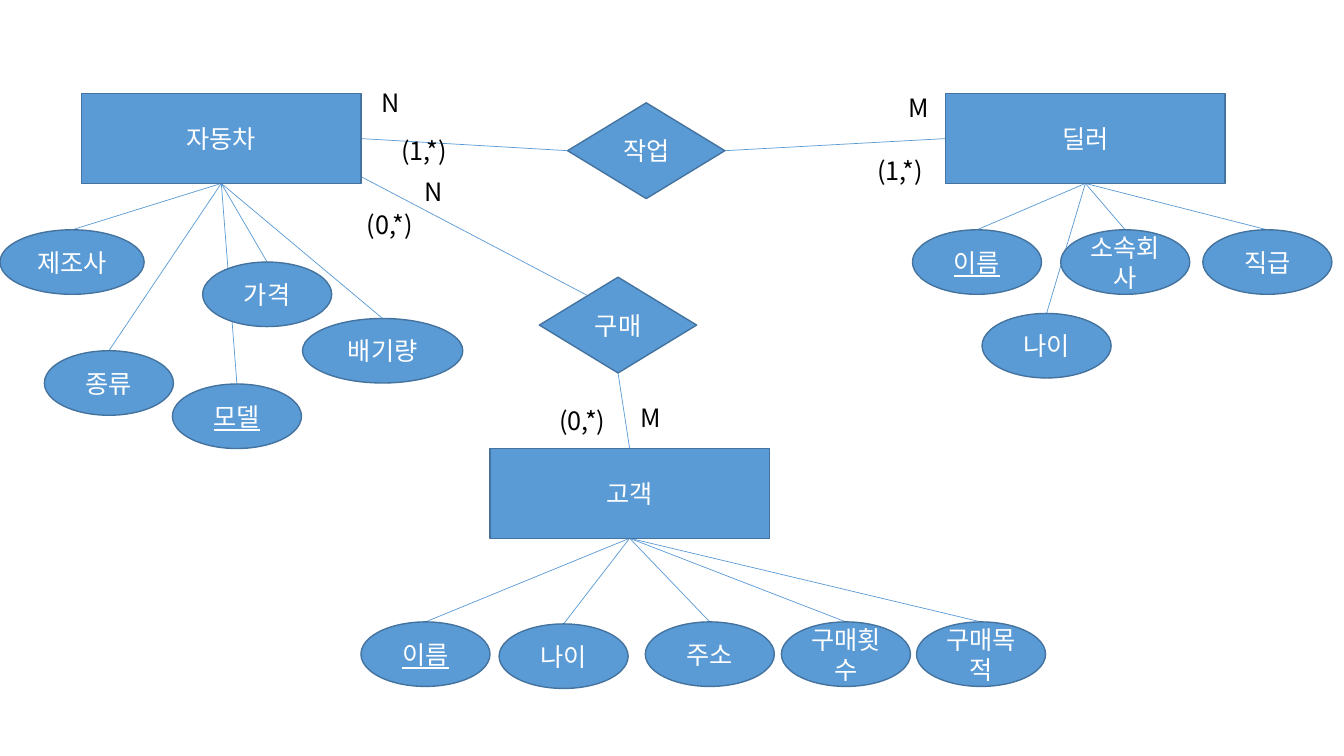
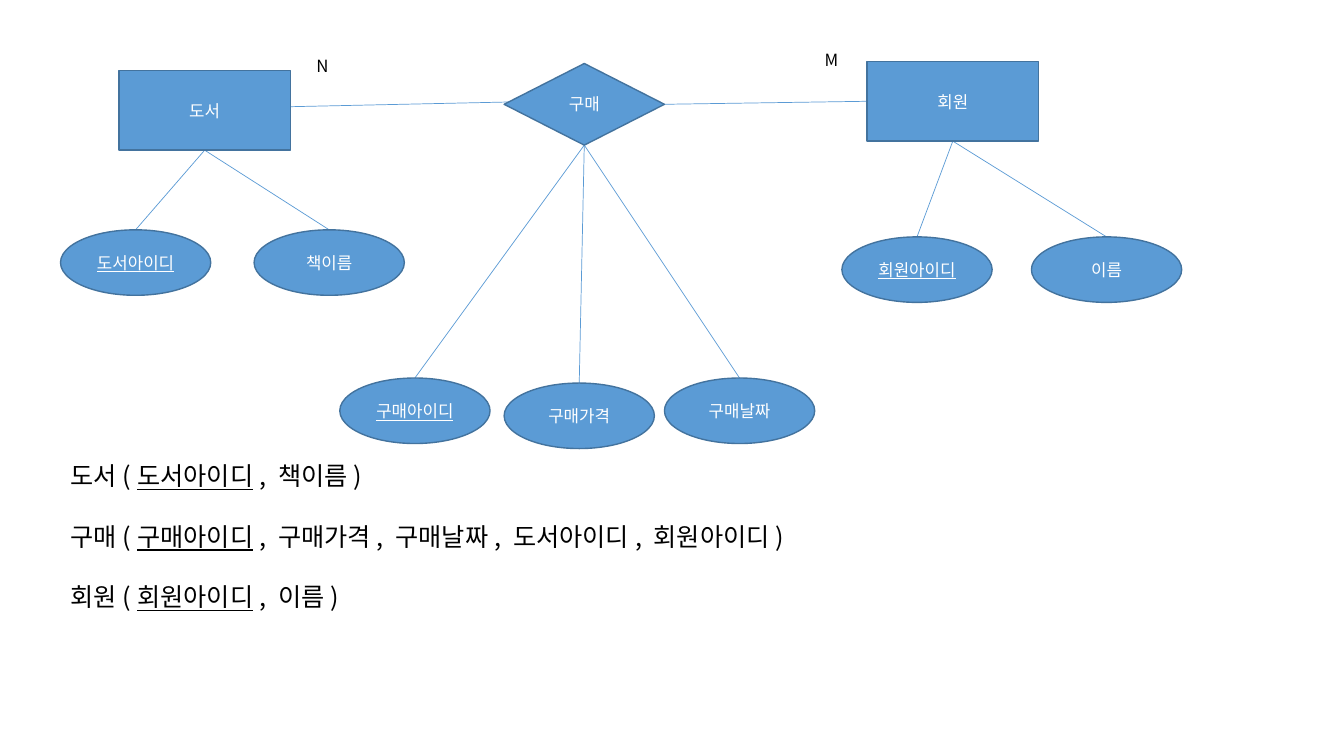
from lxml import etree
from pptx import Presentation
from pptx.dml.color import RGBColor
from pptx.enum.shapes import MSO_CONNECTOR, MSO_SHAPE
from pptx.enum.text import MSO_ANCHOR, MSO_AUTO_SIZE, PP_ALIGN
from pptx.oxml.ns import qn
from pptx.util import Inches, Pt

COLOURS = {"fill": "5B9BD5", "edge": "43739E", "light": "FFFFFF", "dark": "000000"}
FONT = "Noto Sans CJK KR"
ENTITY, RELATION, ATTRIBUTE = MSO_SHAPE.RECTANGLE, MSO_SHAPE.FLOWCHART_DECISION, MSO_SHAPE.OVAL
TOP, LEFT, BOTTOM, RIGHT = range(4)

# Nodes: name, kind, left, top. Attributes: owner, name, is key, left, top, width.
# Links join two (node, side) pairs, loose lines two points.
DIAGRAMS = [
    {
        "text_size": 18,
        "sizes": {ENTITY: (2.77, 0.89), RELATION: (1.56, 0.95)},
        "attribute_height": 0.64,
        "nodes": [
            ("자동차", ENTITY, 0.81, 0.93),
            ("딜러", ENTITY, 9.38, 0.93),
            ("고객", ENTITY, 4.86, 4.45),
            ("구매", RELATION, 5.35, 2.75),
            ("작업", RELATION, 5.63, 1.02),
        ],
        "attributes": [
            ("자동차", "제조사", False, 0, 2.28, 1.43),
            ("자동차", "종류", False, 0.44, 3.48, 1.28),
            ("자동차", "모델", True, 1.71, 3.81, 1.28),
            ("자동차", "가격", False, 2.01, 2.6, 1.28),
            ("자동차", "배기량", False, 3, 3.16, 1.59),
            ("딜러", "이름", True, 9.05, 2.28, 1.28),
            ("딜러", "나이", False, 9.74, 3.11, 1.28),
            ("딜러", "소속회사", False, 10.52, 2.28, 1.28),
            ("딜러", "직급", False, 11.93, 2.28, 1.28),
            ("고객", "이름", True, 3.58, 6.17, 1.28),
            ("고객", "나이", False, 4.95, 6.19, 1.28),
            ("고객", "주소", False, 6.4, 6.17, 1.28),
            ("고객", "구매횟수", False, 7.75, 6.17, 1.28),
            ("고객", "구매목적", False, 9.09, 6.17, 1.28),
        ],
        "links": [
            ("자동차", RIGHT, "작업", LEFT),
            ("작업", RIGHT, "딜러", LEFT),
            ("구매", BOTTOM, "고객", TOP),
        ],
        "loose_lines": [(3.5, 1.71, 6.11, 3.08)],
        "label_height": 0.4,
        "labels": [
            ("N", 3.69, 0.82, 0.37),
            ("M", 8.91, 0.87, 0.37),
            ("(1,*)", 8.6, 1.49, 0.68),
            ("(1,*)", 3.88, 1.29, 0.68),
            ("(0,*)", 3.54, 2.03, 0.68),
            ("(0,*)", 5.45, 3.97, 0.68),
            ("N", 4.11, 1.7, 0.37),
            ("M", 6.25, 3.94, 0.37),
        ],
    },
    {
        "text_size": 12,
        "sizes": {ENTITY: (1.7, 0.79), RELATION: (1.59, 0.81)},
        "attribute_height": 0.65,
        "nodes": [
            ("도서", ENTITY, 1.18, 0.7),
            ("회원", ENTITY, 8.6, 0.61),
            ("구매", RELATION, 5, 0.63),
        ],
        "attributes": [
            ("도서", "도서아이디", True, 0.6, 2.28, 1.49),
            ("도서", "책이름", False, 2.52, 2.28, 1.49),
            ("회원", "회원아이디", True, 8.35, 2.35, 1.49),
            ("회원", "이름", False, 10.23, 2.35, 1.49),
            ("구매", "구매아이디", True, 3.37, 3.75, 1.49),
            ("구매", "구매가격", False, 5, 3.8, 1.49),
            ("구매", "구매날짜", False, 6.59, 3.75, 1.49),
        ],
        "links": [("구매", RIGHT, "회원", LEFT)],
        "loose_lines": [(2.82, 1.06, 5.14, 1.01)],
        "label_height": 0.3,
        "labels": [("N", 3.04, 0.5, 0.33), ("M", 8.08, 0.44, 0.33)],
    },
]
RELATION_SCHEMAS = [
    ("도서(", "도서아이디", ", 책이름)"),
    ("구매(", "구매아이디", ", 구매가격, 구매날짜, 도서아이디, 회원아이디)"),
    ("회원(", "회원아이디", ", 이름)"),
]


def format_span(span, size, colour, underline=False):
    span.font.size = Pt(size)
    span.font.name = FONT
    span.font.color.rgb = RGBColor.from_string(COLOURS[colour])
    span.font.underline = underline
    east_asian = etree.Element(qn("a:ea"), typeface=FONT)
    span.font._element.find(qn("a:latin")).addnext(east_asian)


def add_line(slide, points=(0, 0, 0, 0)):
    """Add a thin line behind every other shape."""
    line = slide.shapes.add_connector(MSO_CONNECTOR.STRAIGHT, *map(Inches, points))
    line.line.color.rgb = RGBColor.from_string(COLOURS["fill"])
    line.line.width = Pt(0.5)
    etree.SubElement(line.element.spPr, qn("a:effectLst"))
    slide.shapes.element.insert(2, line.element)
    return line


deck = Presentation()
deck.slide_width, deck.slide_height = Inches(13.33), Inches(7.5)

for diagram in DIAGRAMS:
    slide = deck.slides.add_slide(deck.slide_layouts[6])
    text_size = diagram["text_size"]

    figures = [
        (None, name, kind, False, (left, top, *diagram["sizes"][kind]))
        for name, kind, left, top in diagram["nodes"]
    ] + [
        (owner, name, ATTRIBUTE, is_key, (left, top, width, diagram["attribute_height"]))
        for owner, name, is_key, left, top, width in diagram["attributes"]
    ]
    nodes = {}
    links = []
    for owner, name, kind, is_key, place in figures:
        figure = slide.shapes.add_shape(kind, *map(Inches, place))
        figure.shadow.inherit = False
        figure.fill.solid()
        figure.fill.fore_color.rgb = RGBColor.from_string(COLOURS["fill"])
        figure.line.color.rgb = RGBColor.from_string(COLOURS["edge"])
        figure.line.width = Pt(1)
        frame = figure.text_frame
        frame.text = name
        frame.word_wrap = True
        frame.vertical_anchor = MSO_ANCHOR.MIDDLE
        para = frame.paragraphs[0]
        para.alignment = PP_ALIGN.CENTER
        format_span(para.runs[0], text_size, "light", is_key)
        if owner:
            links.append((nodes[owner], BOTTOM, figure, TOP))
        else:
            nodes[name] = figure

    for start, start_side, end, end_side in diagram["links"]:
        links.append((nodes[start], start_side, nodes[end], end_side))
    for start, start_side, end, end_side in links:
        line = add_line(slide)
        line.begin_connect(start, start_side)
        line.end_connect(end, end_side)
    for points in diagram["loose_lines"]:
        add_line(slide, points)

    for text, left, top, width in diagram["labels"]:
        place = (left, top, width, diagram["label_height"])
        box = slide.shapes.add_textbox(*map(Inches, place))
        box.text_frame.text = text
        box.text_frame.word_wrap = False
        box.text_frame.auto_size = MSO_AUTO_SIZE.SHAPE_TO_FIT_TEXT
        format_span(box.text_frame.paragraphs[0].runs[0], text_size, "dark")

# Relation schemas under the second diagram
box = slide.shapes.add_textbox(Inches(0.6), Inches(4.52), Inches(7.67), Inches(1.62))
frame = box.text_frame
frame.word_wrap = True
for index, (opening, key, rest) in enumerate(RELATION_SCHEMAS):
    para = frame.add_paragraph() if index else frame.paragraphs[0]
    para.space_before = Pt(21.5 if index else 0)
    for text in (opening, key, rest):
        span = para.add_run()
        span.text = text
        format_span(span, 18, "dark", text == key)

deck.save("out.pptx")
